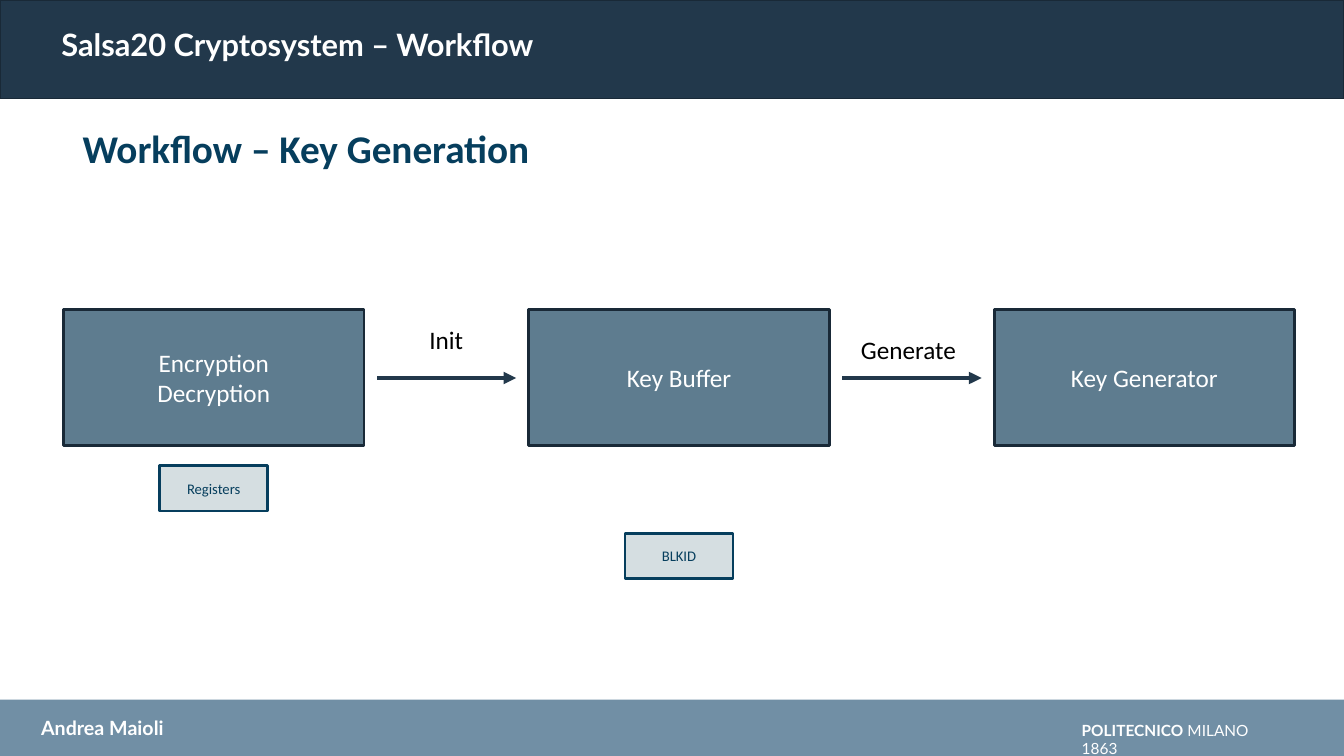
import pptx
import pptx.dml.color
import pptx.enum.shapes
import pptx.enum.text
import pptx.oxml.ns
import pptx.util
from lxml import etree

Inches = pptx.util.Inches
Pt = pptx.util.Pt
ANCHOR = pptx.enum.text.MSO_ANCHOR
ALIGN = pptx.enum.text.PP_ALIGN
RECTANGLE = pptx.enum.shapes.MSO_SHAPE.RECTANGLE

COLORS = {
    "header": "22384B", "edge": "192937", "footer": "718FA5", "stage": "5E7C8F",
    "tag": "D5DEE1", "accent": "063E5D", "white": "FFFFFF", "black": "000000",
}
WIDTH, HEIGHT = 13.33, 7.5


def write(shape, text, size, color, font="Calibri", bold=False, align=ALIGN.LEFT,
          anchor=ANCHOR.TOP, wrap=True, spacing=None):
    """Fill a shape with text: one paragraph per line, runs separated by "|"; bold covers the first run."""
    frame = shape.text_frame
    frame.word_wrap = wrap
    frame.vertical_anchor = anchor
    for number, line in enumerate(text.split("\n")):
        paragraph = frame.add_paragraph() if number else frame.paragraphs[0]
        paragraph.alignment = align
        paragraph.line_spacing = spacing
        for position, part in enumerate(line.split("|")):
            run = paragraph.add_run()
            run.text = part
            run.font.name = font
            run.font.size = Pt(size)
            run.font.bold = bold and position == 0
            run.font.color.rgb = pptx.dml.color.RGBColor.from_string(COLORS[color])


def add_rectangle(left, top, width, height, fill, edge=None, edge_width=2):
    shape = slide.shapes.add_shape(RECTANGLE, Inches(left), Inches(top), Inches(width), Inches(height))
    shape.shadow.inherit = False
    shape.fill.solid()
    shape.fill.fore_color.rgb = pptx.dml.color.RGBColor.from_string(COLORS[fill])
    if edge:
        shape.line.color.rgb = pptx.dml.color.RGBColor.from_string(COLORS[edge])
        shape.line.width = Pt(edge_width)
    else:
        shape.line.fill.background()
    return shape


presentation = pptx.Presentation()
presentation.slide_width = Inches(WIDTH)
presentation.slide_height = Inches(HEIGHT)
slide = presentation.slides.add_slide(presentation.slide_layouts[5])

# Header and footer bands
add_rectangle(0, HEIGHT - 0.56, WIDTH, 0.56, "footer")
add_rectangle(0, 0, WIDTH, 0.98, "header", "edge", 1)

# Title, brought in front of the header band
title = slide.shapes.title
title.left, title.top, title.width, title.height = map(Inches, (0.51, 0.25, 6.15, 0.36))
title.text_frame.auto_size = pptx.enum.text.MSO_AUTO_SIZE.NONE
write(title, "Salsa20 Cryptosystem – Workflow", 22, "white", font="Lato", bold=True, spacing=0.9)
title.element.getparent().append(title.element)

# Three stages in equal columns, with an arrow in each gap
STAGE_LEFT, STAGE_TOP, STAGE_WIDTH, STAGE_HEIGHT = 0.63, 3.07, 2.98, 1.35
COLUMN_STEP = 4.615
ARROW_GAP, ARROW_LENGTH = 0.13, 1.38
stage_lefts = [STAGE_LEFT + column * COLUMN_STEP for column in range(3)]
centered = {"align": ALIGN.CENTER, "anchor": ANCHOR.MIDDLE}

for left, name in zip(stage_lefts, ["Encryption\nDecryption", "Key Buffer", "Key Generator"]):
    stage = add_rectangle(left, STAGE_TOP, STAGE_WIDTH, STAGE_HEIGHT, "stage", "edge")
    write(stage, name, 18, "white", **centered)

for left in stage_lefts[:2]:
    start = left + STAGE_WIDTH + ARROW_GAP
    arrow = slide.shapes.add_connector(
        pptx.enum.shapes.MSO_CONNECTOR.STRAIGHT,
        Inches(start), Inches(3.75), Inches(start + ARROW_LENGTH), Inches(3.75))
    arrow.line.color.rgb = pptx.dml.color.RGBColor.from_string(COLORS["header"])
    arrow.line.width = Pt(3)
    etree.SubElement(arrow.line._get_or_add_ln(), pptx.oxml.ns.qn("a:tailEnd"), type="triangle")
    etree.SubElement(arrow.element.spPr, pptx.oxml.ns.qn("a:effectLst"))

# Small tags centred under their stages
TAG_WIDTH, TAG_HEIGHT = 1.07, 0.45
for column, top, name in [(0, 4.62, "Registers"), (1, 5.29, "BLKID")]:
    left = stage_lefts[column] + (STAGE_WIDTH - TAG_WIDTH) / 2
    write(add_rectangle(left, top, TAG_WIDTH, TAG_HEIGHT, "tag", "accent"),
          name, 10.5, "accent", **centered)

# Free text: heading, arrow labels and footer
for left, top, width, height, text, size, color, options in [
    (0.72, 1.18, 12.52, 0.57, "Workflow – Key Generation", 28, "accent", {"bold": True}),
    (4.16, 3.17, 0.54, 0.4, "Init", 18, "black", {"wrap": False}),
    (8.44, 3.27, 1.16, 0.4, "Generate", 18, "black", {"wrap": False}),
    (0.31, 7.05, 3.06, 0.34, "Andrea Maioli", 14, "white", {"font": "Lato", "bold": True}),
    (10.63, 7.1, 2.19, 0.29, "POLITECNICO| MILANO 1863", 11, "white", {"font": "Lato", "bold": True}),
]:
    box = slide.shapes.add_textbox(Inches(left), Inches(top), Inches(width), Inches(height))
    write(box, text, size, color, **options)

presentation.save("out.pptx")
